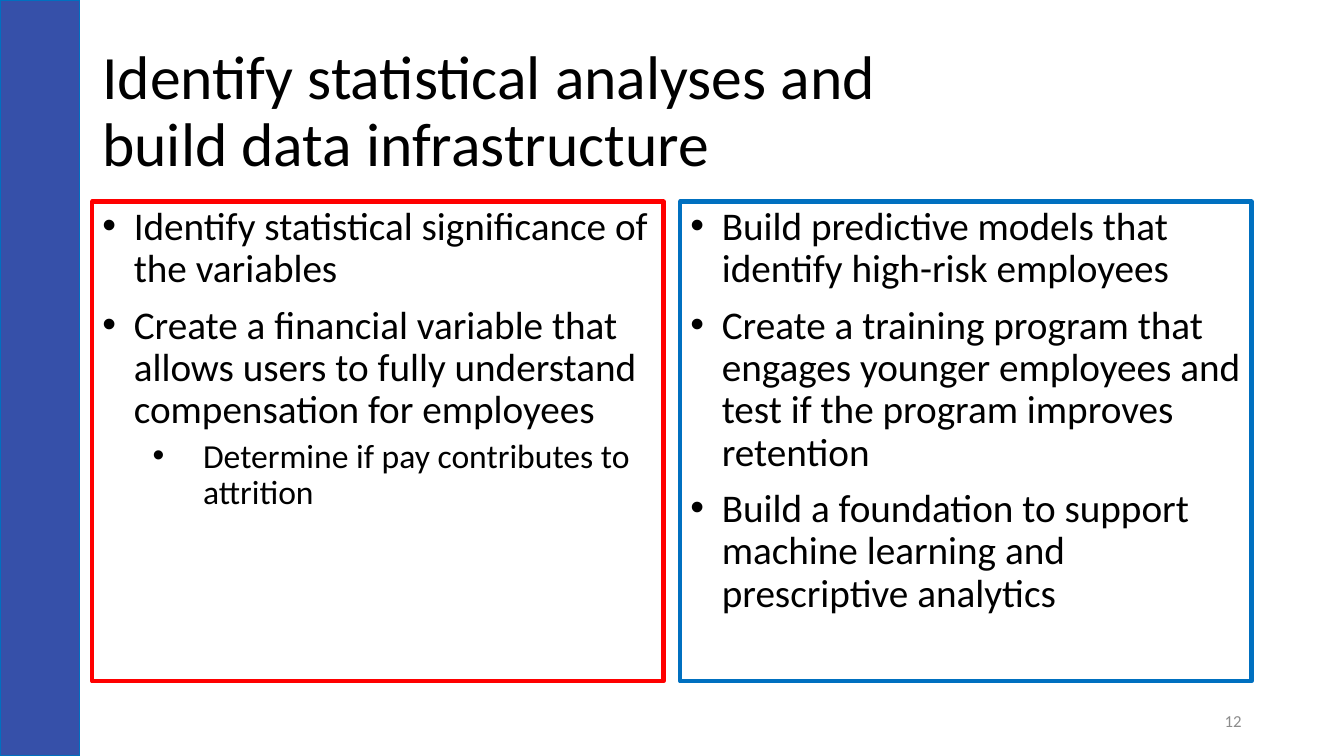
"""Build the slide on statistical analyses and data infrastructure."""
from dataclasses import dataclass

from lxml import etree
from pptx import Presentation
from pptx.dml.color import RGBColor
from pptx.enum.shapes import MSO_SHAPE
from pptx.enum.text import MSO_ANCHOR, PP_ALIGN
from pptx.oxml.ns import qn
from pptx.util import Pt

RECTANGLE = MSO_SHAPE.RECTANGLE
TOP, MIDDLE = MSO_ANCHOR.TOP, MSO_ANCHOR.MIDDLE
LEFT, RIGHT = PP_ALIGN.LEFT, PP_ALIGN.RIGHT
EMU_PER_PX = 9525
FONT = "Calibri"
BLACK, GREY, RED, BLUE, INDIGO = "000000", "8C8C8C", "FF0000", "0070C0", "3650A9"
SLIDE_WIDTH, SLIDE_HEIGHT = 1280, 720
MARGIN_LEFT = 88
PANEL_TOP, PANEL_WIDTH, PANEL_HEIGHT, PANEL_STEP = 192, 544, 457, 560


@dataclass(frozen=True)
class Box:
    left: int
    top: int
    width: int
    height: int


@dataclass(frozen=True)
class Level:
    size: int
    space_before: int
    margin: int
    hanging: int


@dataclass(frozen=True)
class Bullet:
    text: str
    level: int = 0


@dataclass(frozen=True)
class Panel:
    outline: str
    bullets: tuple[Bullet, ...]


LEVELS = (Level(28, 10, 30, 30), Level(24, 5, 96, 48))
PANELS = (
    Panel(RED, (
        Bullet("Identify statistical significance of the variables"),
        Bullet("Create a financial variable that allows users to fully understand "
               "compensation for employees"),
        Bullet("Determine if pay contributes to attrition", 1),
    )),
    Panel(BLUE, (
        Bullet("Build predictive models that identify high-risk employees"),
        Bullet("Create a training program that engages younger employees and test "
               "if the program improves retention"),
        Bullet("Build a foundation to support machine learning and prescriptive analytics"),
    )),
)


def px(length: int) -> int:
    """Turn pixels into EMU."""
    return length * EMU_PER_PX


def rgb(colour: str) -> RGBColor:
    """Turn a hex string into a colour."""
    return RGBColor.from_string(colour)


def bounds(box: Box) -> tuple[int, int, int, int]:
    """Return the box in EMU."""
    return px(box.left), px(box.top), px(box.width), px(box.height)


def add_rectangle(slide, box: Box, outline: str, weight: int, fill: str | None = None):
    """Add an outlined rectangle, filled if a colour is given."""
    rectangle = slide.shapes.add_shape(RECTANGLE, *bounds(box))
    rectangle.shadow.inherit = False
    if fill:
        rectangle.fill.solid()
        rectangle.fill.fore_color.rgb = rgb(fill)
    else:
        rectangle.fill.background()
    rectangle.line.color.rgb = rgb(outline)
    rectangle.line.width = Pt(weight)
    return rectangle


def add_run(paragraph, text: str, size: int, colour: str) -> None:
    """Add one formatted run."""
    run = paragraph.add_run()
    run.text = text
    run.font.name = FONT
    run.font.size = Pt(size)
    run.font.color.rgb = rgb(colour)


def add_label(slide, box: Box, text: str, size: int, colour: str,
              align: PP_ALIGN = LEFT, spacing: float = 1.0) -> None:
    """Add a vertically centred single-paragraph text box."""
    frame = slide.shapes.add_textbox(*bounds(box)).text_frame
    frame.word_wrap = True
    frame.vertical_anchor = MIDDLE
    paragraph = frame.paragraphs[0]
    paragraph.alignment = align
    paragraph.line_spacing = spacing
    add_run(paragraph, text, size, colour)


def add_bullet(paragraph, bullet: Bullet, first: bool) -> None:
    """Write a bulleted paragraph in the style of its level."""
    level = LEVELS[bullet.level]
    properties = paragraph._p.get_or_add_pPr()
    properties.set("marL", str(px(level.margin)))
    properties.set("indent", str(-px(level.hanging)))
    etree.SubElement(properties, qn("a:buFont")).set("typeface", "Arial")
    etree.SubElement(properties, qn("a:buChar")).set("char", "•")
    paragraph.level = bullet.level
    paragraph.alignment = LEFT
    paragraph.line_spacing = 0.9
    paragraph.space_before = Pt(0 if first else level.space_before)
    add_run(paragraph, bullet.text, level.size, BLACK)


def add_panel(slide, panel: Panel, column: int) -> None:
    """Add a framed bullet list in the given column."""
    box = Box(MARGIN_LEFT + column * PANEL_STEP, PANEL_TOP, PANEL_WIDTH, PANEL_HEIGHT)
    frame = add_rectangle(slide, box, panel.outline, 3).text_frame
    frame.word_wrap = True
    frame.vertical_anchor = TOP
    for index, bullet in enumerate(panel.bullets):
        paragraph = frame.add_paragraph() if index else frame.paragraphs[0]
        add_bullet(paragraph, bullet, index == 0)


def main() -> None:
    """Build and save the slide."""
    presentation = Presentation()
    presentation.slide_width = px(SLIDE_WIDTH)
    presentation.slide_height = px(SLIDE_HEIGHT)
    slide = presentation.slides.add_slide(presentation.slide_layouts[6])
    add_rectangle(slide, Box(0, 0, 76, SLIDE_HEIGHT), BLUE, 1, INDIGO)
    add_label(slide, Box(MARGIN_LEFT, 38, 864, 139),
              "Identify statistical analyses and build data infrastructure",
              44, BLACK, spacing=0.9)
    for column, panel in enumerate(PANELS):
        add_panel(slide, panel, column)
    add_label(slide, Box(904, 667, 288, 38), "12", 12, GREY, RIGHT)
    presentation.save("out.pptx")


if __name__ == "__main__":
    main()
